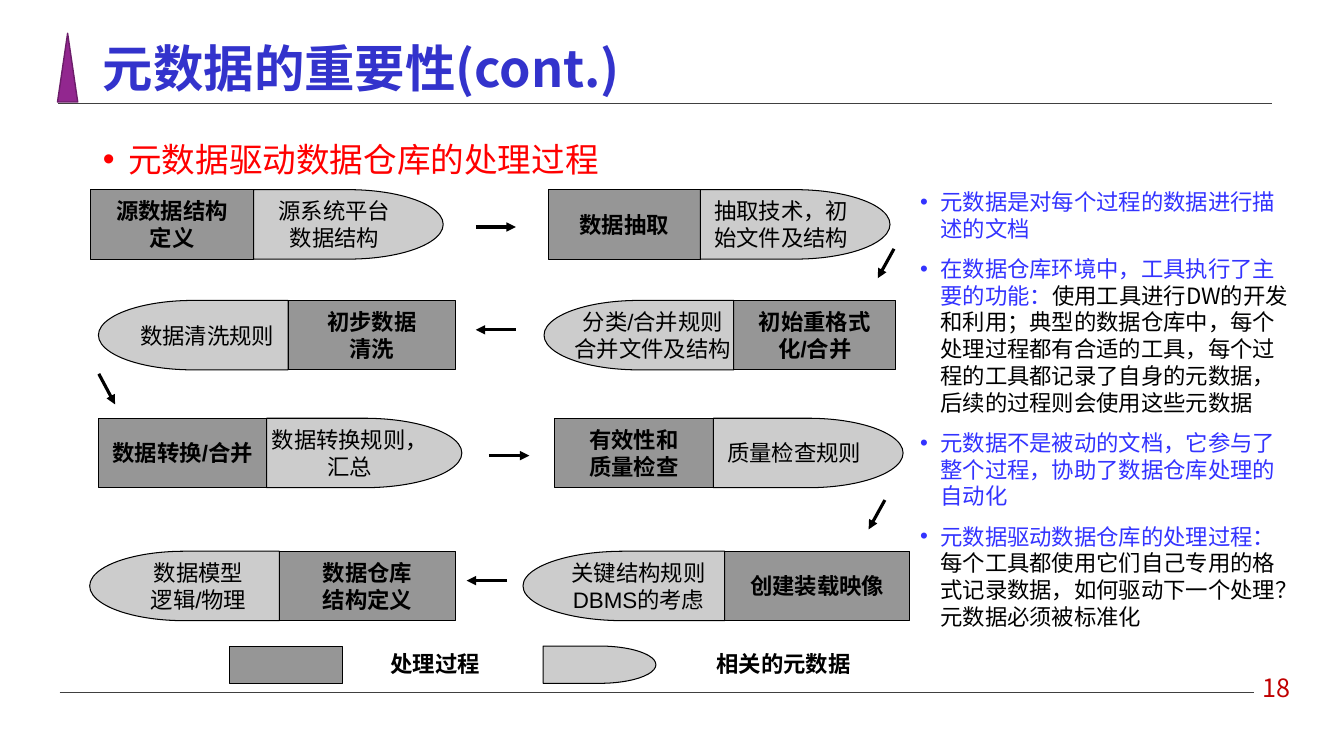
from dataclasses import dataclass

from lxml.etree import SubElement
from pptx import Presentation
from pptx.dml.color import RGBColor
from pptx.enum.shapes import MSO_CONNECTOR, MSO_SHAPE
from pptx.enum.text import MSO_ANCHOR, MSO_AUTO_SIZE, PP_ALIGN
from pptx.oxml.ns import qn
from pptx.util import Cm, Pt


@dataclass(frozen=True)
class Theme:
    title: str = "3333CC"
    topic: str = "FF0000"
    point: str = "3333FF"
    ink: str = "000000"
    process: str = "969696"
    accent: str = "92278F"
    accent_edge: str = "6C1D6A"
    rule: str = "404040"
    number: str = "C00000"
    cjk: str = "Noto Sans CJK SC"
    latin: str = "Arial"
    title_pt: int = 36
    topic_pt: int = 24
    number_pt: int = 18
    text_pt: int = 16
    text_line: float = 19.1
    topic_line: float = 34.5


theme = Theme()


def write(paragraph, runs, size, font, line=None, align=PP_ALIGN.CENTER, bold=False, indent=None):
    paragraph.alignment = align
    paragraph.space_before = Pt(0)
    if line:
        paragraph.line_spacing = Pt(line)
    if indent:
        props = paragraph._p.get_or_add_pPr()
        props.set("marL", str(Cm(indent)))
        props.set("indent", str(-Cm(indent)))
        SubElement(props, qn("a:buFont"), typeface="Arial")
        SubElement(props, qn("a:buChar"), char="•")
    for text, color in runs:
        run = paragraph.add_run()
        run.text = text
        run.font.size, run.font.bold, run.font.name = Pt(size), bold, font
        run.font.color.rgb = RGBColor.from_string(color)
        SubElement(run._r.get_or_add_rPr(), qn("a:ea"), typeface=theme.cjk)


def add_block(left, top, width, height, lines=(), metadata=False, mirrored=False):
    preset = MSO_SHAPE.FLOWCHART_DELAY if metadata else MSO_SHAPE.RECTANGLE
    block = slide.shapes.add_shape(preset, Cm(left), Cm(top), Cm(width), Cm(height))
    block.shadow.inherit = False
    block.fill.solid()
    block.fill.fore_color.rgb = RGBColor.from_string(theme.ink if metadata else theme.process)
    block.line.color.rgb = RGBColor.from_string(theme.ink)
    block.line.width = Pt(0.75)
    if metadata:
        tint = block.element.spPr.find(qn("a:solidFill")).find(qn("a:srgbClr"))
        SubElement(tint, qn("a:alpha"), val="20000")
    frame = block.text_frame
    frame.word_wrap = False
    frame.vertical_anchor = MSO_ANCHOR.MIDDLE
    if mirrored:
        block.rotation = 180
        block.element.txBody.bodyPr.set("rot", "10800000")
    for i, text in enumerate(lines):
        paragraph = frame.add_paragraph() if i else frame.paragraphs[0]
        write(paragraph, [(text, theme.ink)], theme.text_pt, theme.latin,
              theme.text_line, bold=not metadata)


deck = Presentation()
deck.slide_width, deck.slide_height = Cm(33.87), Cm(19.05)
slide = deck.slides.add_slide(deck.slide_layouts[1])

# Title and topic
title, topic = slide.placeholders
title.left, title.top, title.width, title.height = Cm(2.34), Cm(0.69), Cm(29.21), Cm(2.01)
title.text_frame.vertical_anchor = MSO_ANCHOR.MIDDLE
title.text_frame.auto_size = MSO_AUTO_SIZE.NONE
write(title.text_frame.paragraphs[0], [("元数据的重要性(cont.)", theme.title)],
      theme.title_pt, theme.cjk, align=PP_ALIGN.LEFT, bold=True)

topic.left, topic.top, topic.width, topic.height = Cm(2.34), Cm(3.18), Cm(29.21), Cm(13.97)
topic.text_frame.auto_size = MSO_AUTO_SIZE.NONE
write(topic.text_frame.paragraphs[0], [("元数据驱动数据仓库的处理过程", theme.topic)],
      theme.topic_pt, theme.cjk, theme.topic_line, PP_ALIGN.LEFT, indent=0.64)

# Title marker
marker = slide.shapes.add_shape(MSO_SHAPE.ISOSCELES_TRIANGLE, Cm(1.45), Cm(0.84), Cm(0.51), Cm(1.73))
marker.shadow.inherit = False
marker.fill.solid()
marker.fill.fore_color.rgb = RGBColor.from_string(theme.accent)
marker.line.color.rgb = RGBColor.from_string(theme.accent_edge)
marker.line.width = Pt(1)

# Flow steps: row top, process left and width, metadata width, side of the metadata
block_height = 1.75
steps = [
    (4.78, 2.29, 4.1, 4.78, "right", ["源数据结构", "定义"], ["源系统平台", "数据结构"]),
    (4.78, 13.82, 3.83, 4.78, "right", ["数据抽取"], ["抽取技术，初", "始文件及结构"]),
    (7.57, 18.49, 4.09, 4.78, "left", ["初始重格式", "化/合并"], ["分类/合并规则", "合并文件及结构"]),
    (7.57, 7.26, 4.22, 4.78, "left", ["初步数据", "清洗"], ["数据清洗规则"]),
    (10.54, 2.49, 4.23, 4.92, "right", ["数据转换/合并"], ["数据转换规则，", "汇总"]),
    (10.54, 13.97, 4.01, 4.78, "right", ["有效性和", "质量检查"], ["质量检查规则"]),
    (13.89, 18.26, 4.67, 5.08, "left", ["创建装载映像"], ["关键结构规则", "DBMS的考虑"]),
    (13.89, 7.04, 4.45, 4.78, "left", ["数据仓库", "结构定义"], ["数据模型", "逻辑/物理"]),
]
for top, left, width, meta_width, side, process, metadata in steps:
    meta_left = left + width if side == "right" else left - meta_width
    add_block(left, top, width, block_height, process)
    add_block(meta_left, top, meta_width, block_height, metadata, True, side == "left")

# Rules and flow arrows
rules = [(1.47, 2.6, 32.05, 2.6), (1.5, 17.45, 31.6, 17.45)]
arrows = [
    (11.99, 5.72, 13, 5.72), (22.53, 6.27, 22.12, 7.01), (13, 8.31, 11.99, 8.31),
    (2.49, 9.42, 2.9, 10.19), (12.32, 11.48, 13.34, 11.48),
    (22.3, 12.6, 21.89, 13.34), (12.78, 14.63, 11.76, 14.63),
]
for ends in rules + arrows:
    stroke = slide.shapes.add_connector(MSO_CONNECTOR.STRAIGHT, *map(Cm, ends))
    is_arrow = ends in arrows
    stroke.line.width = Pt(2.25 if is_arrow else 0.5)
    stroke.line.color.rgb = RGBColor.from_string(theme.ink if is_arrow else theme.rule)
    if is_arrow:
        SubElement(stroke.line._get_or_add_ln(), qn("a:tailEnd"), type="triangle")
    SubElement(stroke.element.spPr, qn("a:effectLst"))

# Legend keys
add_block(5.79, 16.28, 2.84, 0.94)
add_block(13.69, 16.28, 2.84, 0.94, metadata=True)

# Legend labels and page number
labels = [
    (9.25, 16.28, 3.43, 0.89, "处理过程", theme.ink, theme.text_pt, theme.latin, True),
    (17.32, 16.28, 4.85, 0.89, "相关的元数据", theme.ink, theme.text_pt, theme.latin, True),
    (31.5, 16.84, 1.35, 0.97, "18", theme.number, theme.number_pt, theme.cjk, False),
]
for left, top, width, height, text, color, size, font, bold in labels:
    label = slide.shapes.add_textbox(Cm(left), Cm(top), Cm(width), Cm(height)).text_frame
    label.word_wrap = True
    label.vertical_anchor = MSO_ANCHOR.MIDDLE
    write(label.paragraphs[0], [(text, color)], size, font, bold=bold)

# Explanations beside the flow
points = [
    ("元数据是对每个过程的数据进行描述的文档", ""),
    ("在数据仓库环境中，工具执行了主要的功能：",
     "使用工具进行DW的开发和利用；典型的数据仓库中，每个处理过程都有合适的工具，"
     "每个过程的工具都记录了自身的元数据，后续的过程则会使用这些元数据"),
    ("元数据不是被动的文档，它参与了整个过程，协助了数据仓库处理的自动化", ""),
    ("元数据驱动数据仓库的处理过程：",
     "每个工具都使用它们自己专用的格式记录数据，如何驱动下一个处理？元数据必须被标准化"),
]
notes = slide.shapes.add_textbox(Cm(22.94), Cm(4.62), Cm(9.88), Cm(11.89)).text_frame
notes.word_wrap = True
for i, (claim, detail) in enumerate(points):
    paragraph = notes.add_paragraph() if i else notes.paragraphs[0]
    runs = [(claim, theme.point)] + ([(detail, theme.ink)] if detail else [])
    write(paragraph, runs, theme.text_pt, theme.cjk, theme.text_line, PP_ALIGN.LEFT, indent=0.51)
    if i:
        paragraph.space_before = Pt(9.6)

deck.save("out.pptx")
